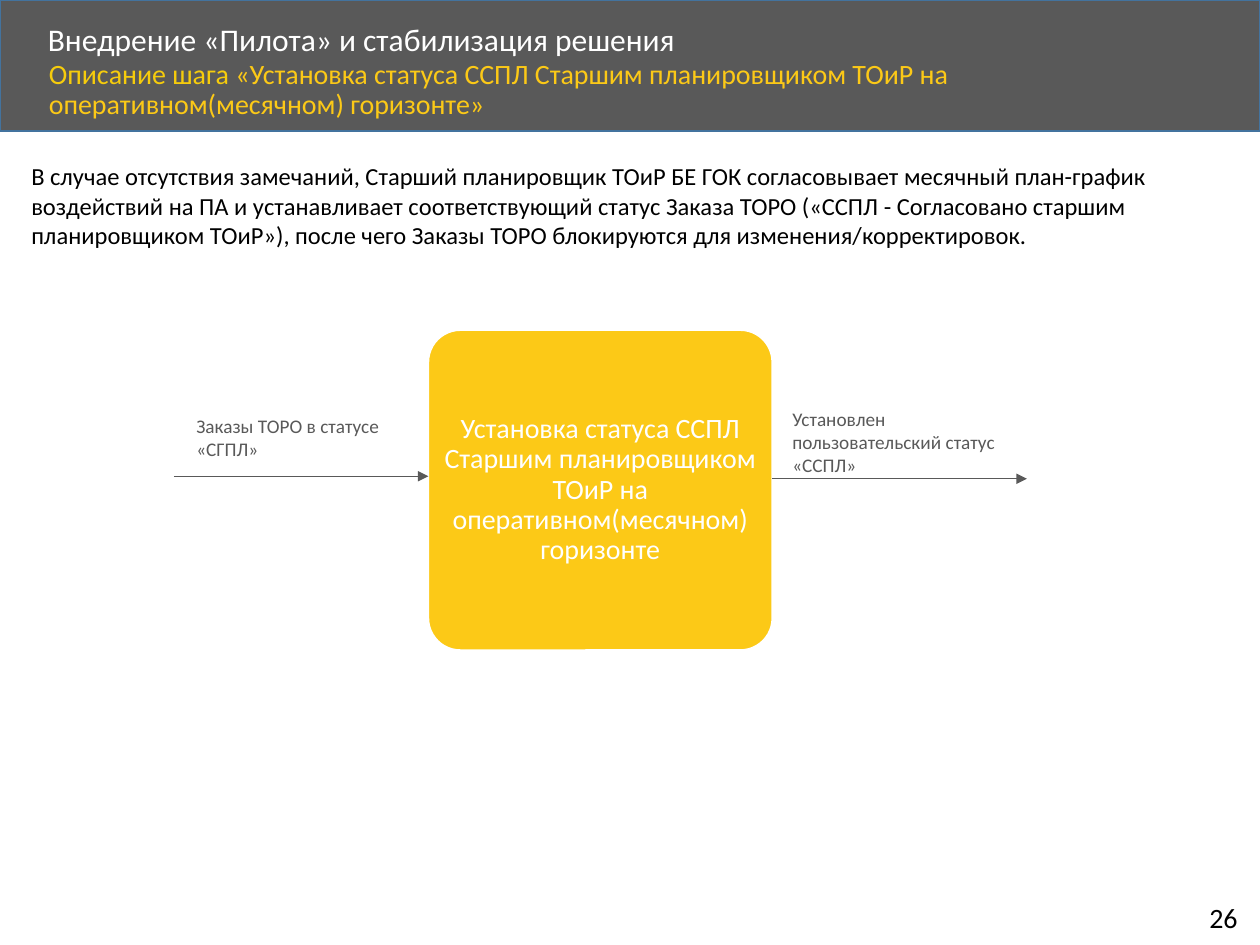
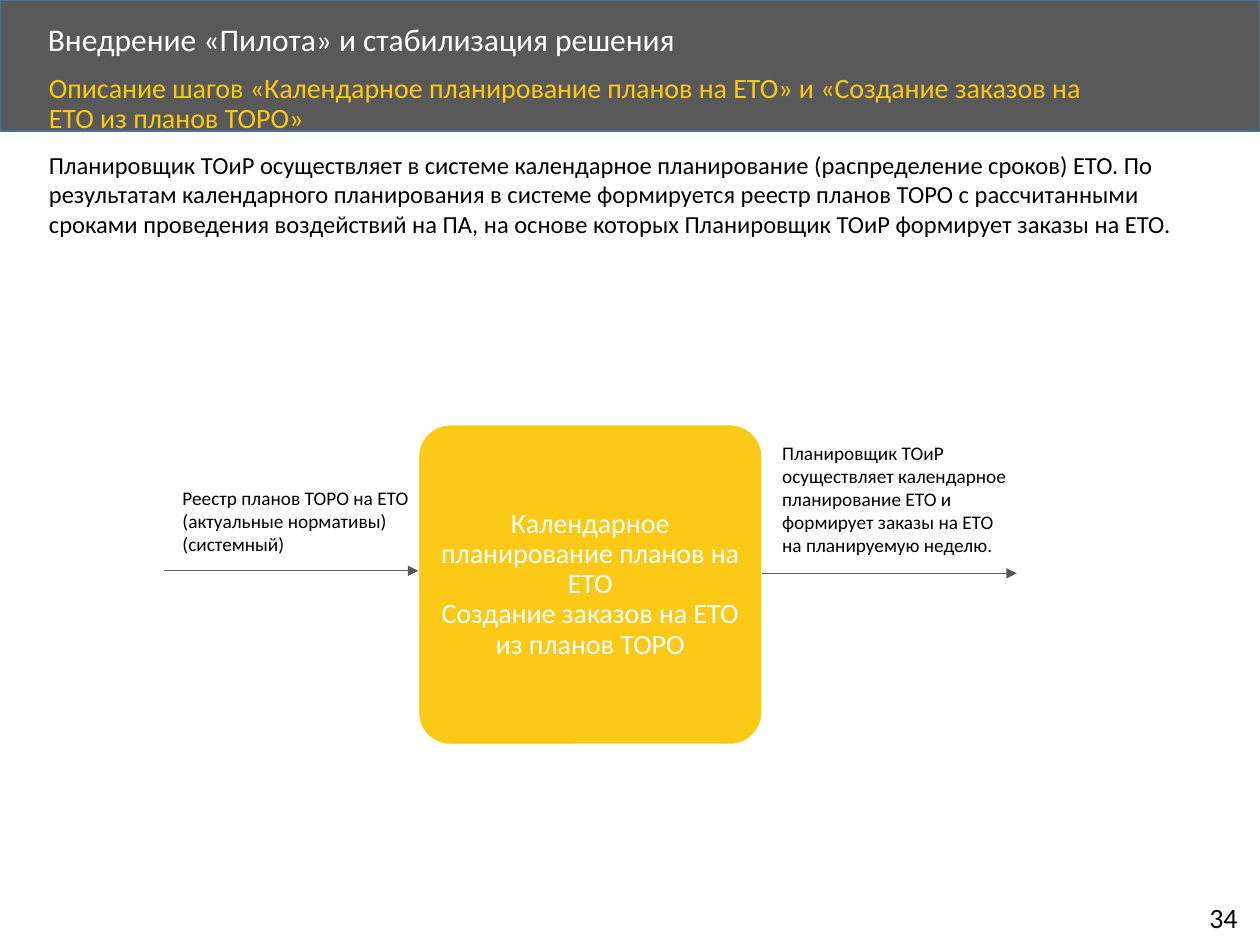
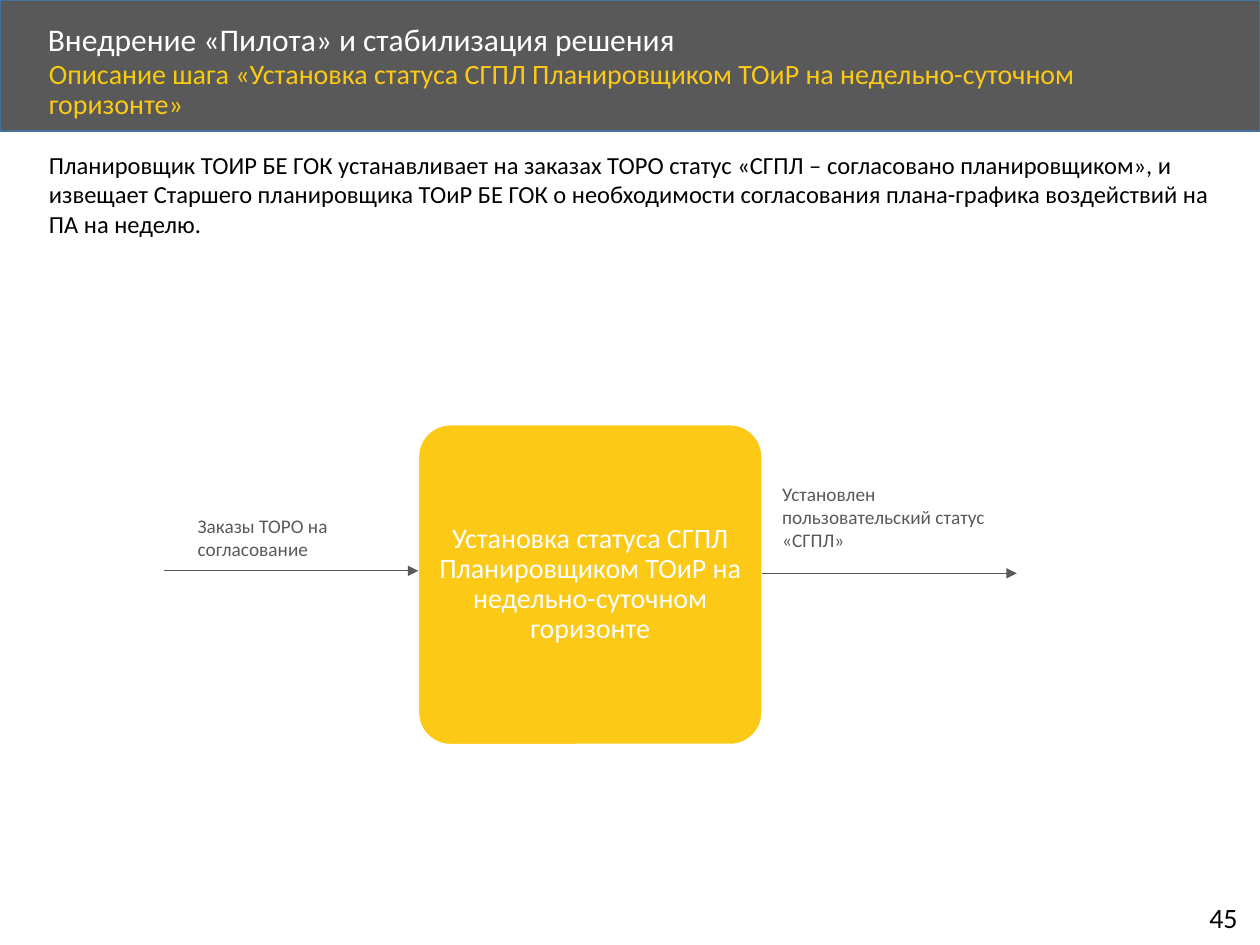
from dataclasses import dataclass

from lxml import etree
from pptx import Presentation
from pptx import util as u
from pptx.dml.color import RGBColor
from pptx.enum import shapes, text
from pptx.oxml import ns

COLOURS = {
    "band": "595959",
    "band_line": "43739E",
    "grey": "595959",
    "yellow": "FCC917",
    "mustard": "F6CC0C",
    "white": "FFFFFF",
    "black": "000000",
}
FONT = "Calibri"
TITLE = "Внедрение «Пилота» и стабилизация решения"
NODE_WIDTH, NODE_HEIGHT = 2.73, 2.54
ARROW_LENGTH = 2.02
INPUT_DROP, OUTPUT_DROP = 1.16, 1.18
LABEL_WIDTH = 2.0


@dataclass
class Label:
    wording: str
    left: float
    top: float
    height: float


@dataclass
class Step:
    number: str
    kind: str
    names: str
    subtitle_top: float
    description: str
    description_left: float
    description_top: float
    node_lines: list[str]
    node_left: float
    node_top: float
    source: Label
    result: Label
    label_colour: str = "grey"


STEPS = [
    Step(
        "26", "Описание шага ",
        "«Установка статуса ССПЛ Старшим планировщиком ТОиР на оперативном(месячном) горизонте»",
        0.43,
        "В случае отсутствия замечаний, Старший планировщик ТОиР БЕ ГОК согласовывает месячный "
        "план-график воздействий на ПА и устанавливает соответствующий статус Заказа ТОРО "
        "(«ССПЛ - Cогласовано старшим планировщиком ТОиР»), после чего Заказы ТОРО блокируются "
        "для изменения/корректировок.",
        0.15, 1.23,
        ["Установка статуса ССПЛ Старшим планировщиком ТОиР на оперативном(месячном) горизонте"],
        3.4, 2.62,
        Label("Заказы ТОРО в статусе «СГПЛ»", 1.46, 3.24, 0.47),
        Label("Установлен пользовательский статус «ССПЛ»", 6.19, 3.18, 0.66),
    ),
    Step(
        "34", "Описание шагов ",
        "«Календарное планирование планов на ЕТО» и «Создание заказов на ЕТО из планов ТОРО»",
        0.54,
        "Планировщик ТОиР осуществляет в системе календарное планирование (распределение сроков) "
        "ЕТО. По результатам календарного планирования в системе формируется реестр планов ТОРО "
        "с рассчитанными сроками проведения воздействий на ПА, на основе которых Планировщик ТОиР "
        "формирует заказы на ЕТО.",
        0.29, 1.14,
        ["Календарное планирование планов на ЕТО", "Создание заказов на ЕТО из планов ТОРО"],
        3.32, 3.37,
        Label("Реестр планов ТОРО на ЕТО (актуальные нормативы) (системный)", 1.35, 3.81, 0.66),
        Label("Планировщик ТОиР осуществляет календарное планирование ЕТО и формирует заказы "
              "на ЕТО на планируемую неделю.", 6.11, 3.45, 1.03),
        "black",
    ),
    Step(
        "45", "Описание шага ",
        "«Установка статуса СГПЛ Планировщиком ТОиР на недельно-суточном горизонте»",
        0.43,
        "Планировщик ТОИР БЕ ГОК устанавливает на заказах ТОРО статус «СГПЛ – согласовано "
        "планировщиком», и извещает Старшего планировщика ТОиР БЕ ГОК о необходимости "
        "согласования плана-графика воздействий на ПА на неделю.",
        0.29, 1.14,
        ["Установка статуса СГПЛ Планировщиком ТОиР на недельно-суточном горизонте"],
        3.32, 3.37,
        Label("Заказы ТОРО на согласование", 1.47, 4.03, 0.47),
        Label("Установлен пользовательский статус «СГПЛ»", 6.11, 3.78, 0.66),
    ),
]


def colour(name: str) -> RGBColor:
    return RGBColor.from_string(COLOURS[name])


def add_run(paragraph, wording: str, size: float, colour_name: str) -> None:
    run = paragraph.add_run()
    run.text = wording
    run.font.name = FONT
    run.font.size = u.Pt(size)
    run.font.color.rgb = colour(colour_name)


def add_panel(slide, preset, left: float, top: float, width: float, height: float,
              fill: str, line: str):
    shape = slide.shapes.add_shape(
        preset, u.Inches(left), u.Inches(top), u.Inches(width), u.Inches(height))
    shape.shadow.inherit = False
    shape.fill.solid()
    shape.fill.fore_color.rgb = colour(fill)
    shape.line.color.rgb = colour(line)
    shape.line.width = u.Pt(1)
    return shape


def add_text(slide, left: float, top: float, width: float, height: float,
             runs: list[tuple[str, str]], size: float, wrap: bool = True,
             line_spacing: float = 1.0) -> None:
    shape = slide.shapes.add_textbox(
        u.Inches(left), u.Inches(top), u.Inches(width), u.Inches(height))
    shape.text_frame.word_wrap = wrap
    paragraph = shape.text_frame.paragraphs[0]
    paragraph.line_spacing = line_spacing
    for wording, colour_name in runs:
        add_run(paragraph, wording, size, colour_name)


def add_arrow(slide, left: float, top: float) -> None:
    arrow = slide.shapes.add_connector(
        shapes.MSO_CONNECTOR.STRAIGHT, u.Inches(left), u.Inches(top),
        u.Inches(left + ARROW_LENGTH), u.Inches(top))
    arrow.line.color.rgb = colour("grey")
    arrow.line.width = u.Pt(0.5)
    etree.SubElement(arrow.line._get_or_add_ln(), ns.qn("a:tailEnd"), type="triangle")
    etree.SubElement(arrow.element.spPr, ns.qn("a:effectLst"))


def add_header(slide, step: Step) -> None:
    title = slide.shapes.title
    title.left, title.top = u.Inches(0.28), u.Inches(0.14)
    title.width, title.height = u.Inches(8.07), u.Inches(0.38)
    frame = title.text_frame
    frame.auto_size = text.MSO_AUTO_SIZE.NONE
    frame.vertical_anchor = text.MSO_ANCHOR.MIDDLE
    paragraph = frame.paragraphs[0]
    paragraph.alignment = text.PP_ALIGN.LEFT
    paragraph.line_spacing = 0.9
    add_run(paragraph, TITLE, 18, "white")
    band = add_panel(slide, shapes.MSO_SHAPE.RECTANGLE, 0, 0, 10, 1.04, "band", "band_line")
    title.element.addprevious(band.element)
    add_text(slide, 0.29, step.subtitle_top, 8.67, 0.45,
             [(step.kind, "mustard"), (step.names, "yellow")], 16, line_spacing=0.9)


def add_node(slide, step: Step) -> None:
    node = add_panel(slide, shapes.MSO_SHAPE.ROUNDED_RECTANGLE, step.node_left, step.node_top,
                     NODE_WIDTH, NODE_HEIGHT, "yellow", "white")
    node.adjustments[0] = 0.1
    frame = node.text_frame
    frame.word_wrap = True
    frame.vertical_anchor = text.MSO_ANCHOR.MIDDLE
    frame.margin_left = frame.margin_right = frame.margin_top = frame.margin_bottom = 0
    paragraph = frame.paragraphs[0]
    paragraph.alignment = text.PP_ALIGN.CENTER
    paragraph.line_spacing = 0.9
    for index, line in enumerate(step.node_lines):
        if index:
            paragraph.add_line_break()
        add_run(paragraph, line, 16, "white")


def add_step(presentation, step: Step) -> None:
    slide = presentation.slides.add_slide(presentation.slide_layouts.get_by_name("Title Only"))
    add_header(slide, step)
    add_text(slide, 9.5, 7.1, 0.46, 0.37, [(step.number, "black")], 16, wrap=False)
    add_node(slide, step)
    add_arrow(slide, step.node_left - ARROW_LENGTH, step.node_top + INPUT_DROP)
    add_arrow(slide, step.node_left + NODE_WIDTH, step.node_top + OUTPUT_DROP)
    for label in (step.source, step.result):
        add_text(slide, label.left, label.top, LABEL_WIDTH, label.height,
                 [(label.wording, step.label_colour)], 11)
    add_text(slide, step.description_left, step.description_top, 9.46, 0.81,
             [(step.description, "black")], 14)


def main() -> None:
    """Build the deck of process-step slides."""
    presentation = Presentation()
    presentation.slide_width, presentation.slide_height = u.Inches(10), u.Inches(7.5)
    for step in STEPS:
        add_step(presentation, step)
    presentation.save("out.pptx")


if __name__ == "__main__":
    main()
